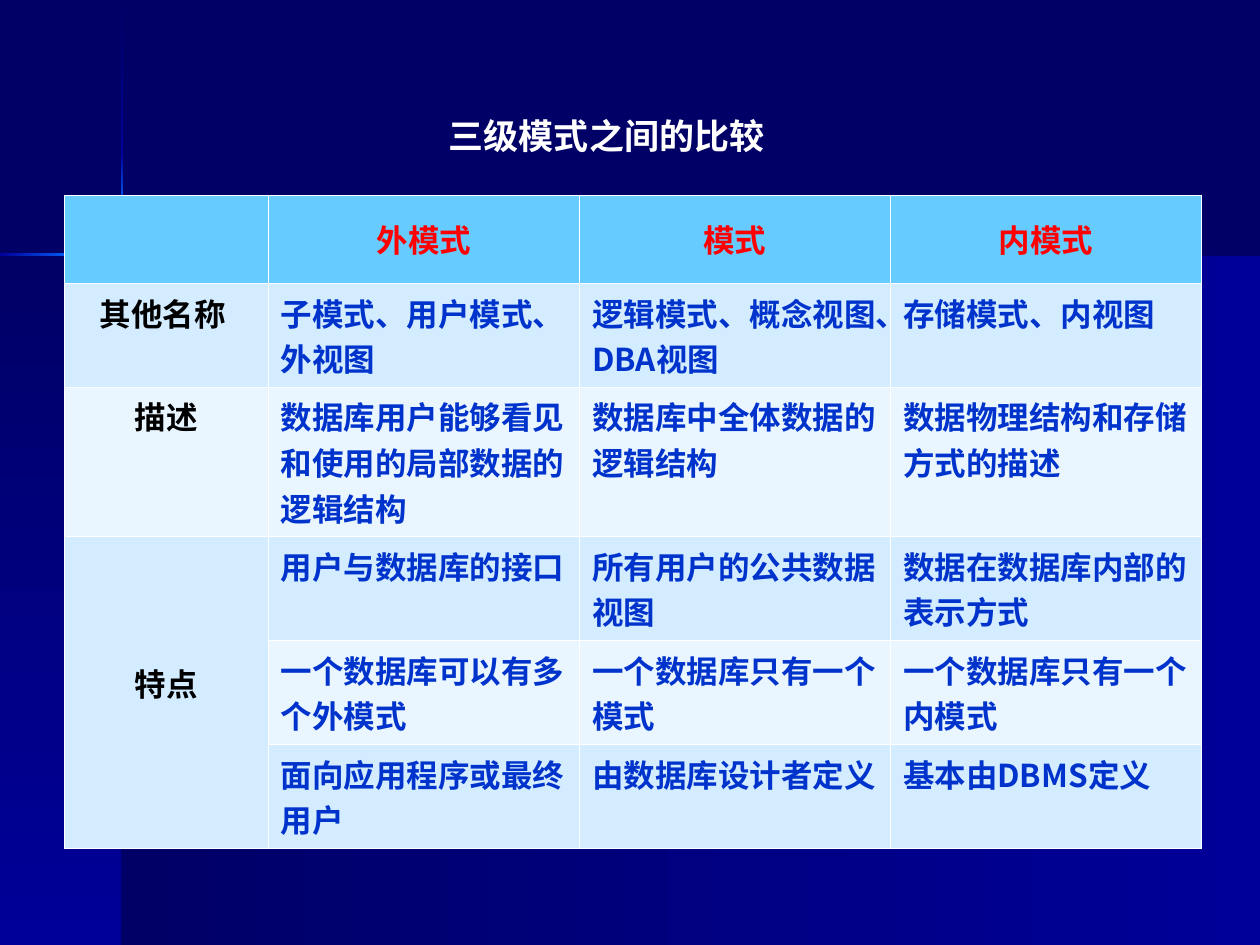
from copy import deepcopy
from itertools import pairwise

from lxml import etree
from pptx import Presentation
from pptx.dml.color import RGBColor
from pptx.enum.shapes import MSO_SHAPE
from pptx.enum.text import MSO_ANCHOR, MSO_AUTO_SIZE, PP_ALIGN
from pptx.oxml.ns import qn
from pptx.util import Cm, Pt

CENTER, LEFT = PP_ALIGN.CENTER, PP_ALIGN.LEFT
MIDDLE, TOP = MSO_ANCHOR.MIDDLE, MSO_ANCHOR.TOP
RECTANGLE = MSO_SHAPE.RECTANGLE
NO_AUTOFIT = MSO_AUTO_SIZE.NONE

SANS, SERIF = "Noto Sans CJK SC", "Times New Roman"
NAVY, BLUE, BRIGHT, CREAM = "000066", "000099", "0066FF", "FFFFCC"
WHITE, BLACK, RED, INK = "FFFFFF", "000000", "FF0000", "0033CC"
HEADER_FILL, ROW_FILLS = "66CCFF", ("D3ECFF", "EAF6FF")

TITLE = "三级模式之间的比较 "
ROWS = [
    ["", "外模式", "模式", "内模式"],
    ["其他名称 ", "子模式、用户模式、外视图", "逻辑模式、概念视图、DBA视图", "存储模式、内视图"],
    ["描述", "数据库用户能够看见和使用的局部数据的逻辑结构",
     "数据库中全体数据的逻辑结构", "数据物理结构和存储方式的描述"],
    ["特点", "用户与数据库的接口", "所有用户的公共数据视图", "数据在数据库内部的表示方式"],
    ["", "一个数据库可以有多个外模式", "一个数据库只有一个模式", "一个数据库只有一个内模式"],
    ["", "面向应用程序或最终用户", "由数据库设计者定义", "基本由DBMS定义"],
]
FEATURE_ROW = 3
COLUMN_WIDTHS = [4.11, 6.27, 6.27, 6.27]
ROW_HEIGHTS = [1.78, 1.91, 2.72, 1.91, 1.8, 1.91]
TABLE_LEFT, TABLE_TOP = 1.3, 3.93

SLIDE_WIDTH, SLIDE_HEIGHT = 25.4, 19.05
CROSS_X, CROSS_Y, RAY = 2.44, 5.11, 0.05
VERTICAL_STOPS = [0.03, 3.07, 4.19, 6.05, 7.16, SLIDE_HEIGHT]
HORIZONTAL_STOPS = [0, 1.54, 3.38, 4.5, SLIDE_WIDTH]
RAY_COLORS = [(NAVY, BLUE), (BLUE, BRIGHT), (BRIGHT, CREAM, BRIGHT), (BRIGHT, BLUE), (BLUE, NAVY)]


def color(value):
    return RGBColor.from_string(value)


def write(frame, text, size=18, font=SANS, ink=INK, align=LEFT):
    paragraph = frame.paragraphs[0]
    paragraph.alignment = align
    paragraph.space_before = Pt(0)
    run = paragraph.add_run()
    run.text = text
    run.font.size, run.font.bold, run.font.name = Pt(size), True, font
    run.font.color.rgb = color(ink)
    etree.SubElement(run.font._element, qn("a:ea")).set("typeface", SANS)


def add_gradient(slide, left, top, width, height, colors, downward):
    shape = slide.shapes.add_shape(RECTANGLE, Cm(left), Cm(top), Cm(width), Cm(height))
    shape.shadow.inherit = False
    shape.line.fill.background()
    shape.fill.gradient()
    shape.fill.gradient_angle = 270 if downward else 0
    stop_list = shape._element.spPr.find(qn("a:gradFill")).find(qn("a:gsLst"))
    while len(stop_list) < len(colors):
        stop_list.insert(1, deepcopy(stop_list[0]))
    for index, stop in enumerate(shape.fill.gradient_stops):
        stop.position = index / (len(colors) - 1)
        stop.color.rgb = color(colors[index])


def add_backdrop(slide):
    slide.background.fill.solid()
    slide.background.fill.fore_color.rgb = color(NAVY)
    panel_left, panel_top = CROSS_X + 0.02, CROSS_Y + 0.02
    panel_height = SLIDE_HEIGHT - panel_top
    add_gradient(slide, panel_left, panel_top, SLIDE_WIDTH - panel_left, panel_height, (NAVY, BLUE), False)
    add_gradient(slide, 0, panel_top, panel_left, panel_height, (NAVY, BLUE), True)
    for (start, end), colors in zip(pairwise(VERTICAL_STOPS), RAY_COLORS):
        add_gradient(slide, CROSS_X, start, RAY, end - start, colors, True)
    for (start, end), colors in zip(pairwise(HORIZONTAL_STOPS), RAY_COLORS[1:]):
        add_gradient(slide, start, CROSS_Y, end - start, RAY, colors, False)


def add_borders(cell):
    properties = cell._tc.get_or_add_tcPr()
    for index, side in enumerate(("lnL", "lnR", "lnT", "lnB")):
        line = etree.Element(qn(f"a:{side}"), w=str(Pt(0.45)))
        fill = etree.SubElement(line, qn("a:solidFill"))
        etree.SubElement(fill, qn("a:srgbClr")).set("val", WHITE)
        properties.insert(index, line)


def add_comparison(slide):
    table = slide.shapes.add_table(
        len(ROWS), len(COLUMN_WIDTHS), Cm(TABLE_LEFT), Cm(TABLE_TOP),
        Cm(sum(COLUMN_WIDTHS)), Cm(sum(ROW_HEIGHTS))).table
    for column, width in zip(table.columns, COLUMN_WIDTHS):
        column.width = Cm(width)
    for row, height in zip(table.rows, ROW_HEIGHTS):
        row.height = Cm(height)
    for row_index, texts in enumerate(ROWS):
        is_header = row_index == 0
        for column_index, text in enumerate(texts):
            is_label = column_index == 0
            cell = table.cell(row_index, column_index)
            cell.fill.solid()
            cell.fill.fore_color.rgb = color(HEADER_FILL if is_header else ROW_FILLS[(row_index - 1) % 2])
            add_borders(cell)
            cell.vertical_anchor = MIDDLE if is_header else TOP
            if text:
                ink = RED if is_header else BLACK if is_label else INK
                write(cell.text_frame, text, ink=ink, align=CENTER if is_header or is_label else LEFT)
    feature = table.cell(FEATURE_ROW, 0)
    feature.merge(table.cell(len(ROWS) - 1, 0))
    feature.vertical_anchor = MIDDLE
    feature.margin_bottom = Cm(0.53)


def add_title(slide):
    title = slide.shapes.title
    title.left, title.top, title.width, title.height = Cm(6.76), Cm(2.18), Cm(11.1), Cm(1.12)
    frame = title.text_frame
    frame.word_wrap = True
    frame.auto_size = NO_AUTOFIT
    frame.vertical_anchor = MIDDLE
    write(frame, TITLE, size=20, font=SERIF, ink=WHITE, align=CENTER)


def main():
    presentation = Presentation()
    presentation.slide_width, presentation.slide_height = Cm(SLIDE_WIDTH), Cm(SLIDE_HEIGHT)
    slide = presentation.slides.add_slide(presentation.slide_layouts[5])
    add_backdrop(slide)
    add_comparison(slide)
    add_title(slide)
    presentation.save("out.pptx")


if __name__ == "__main__":
    main()
